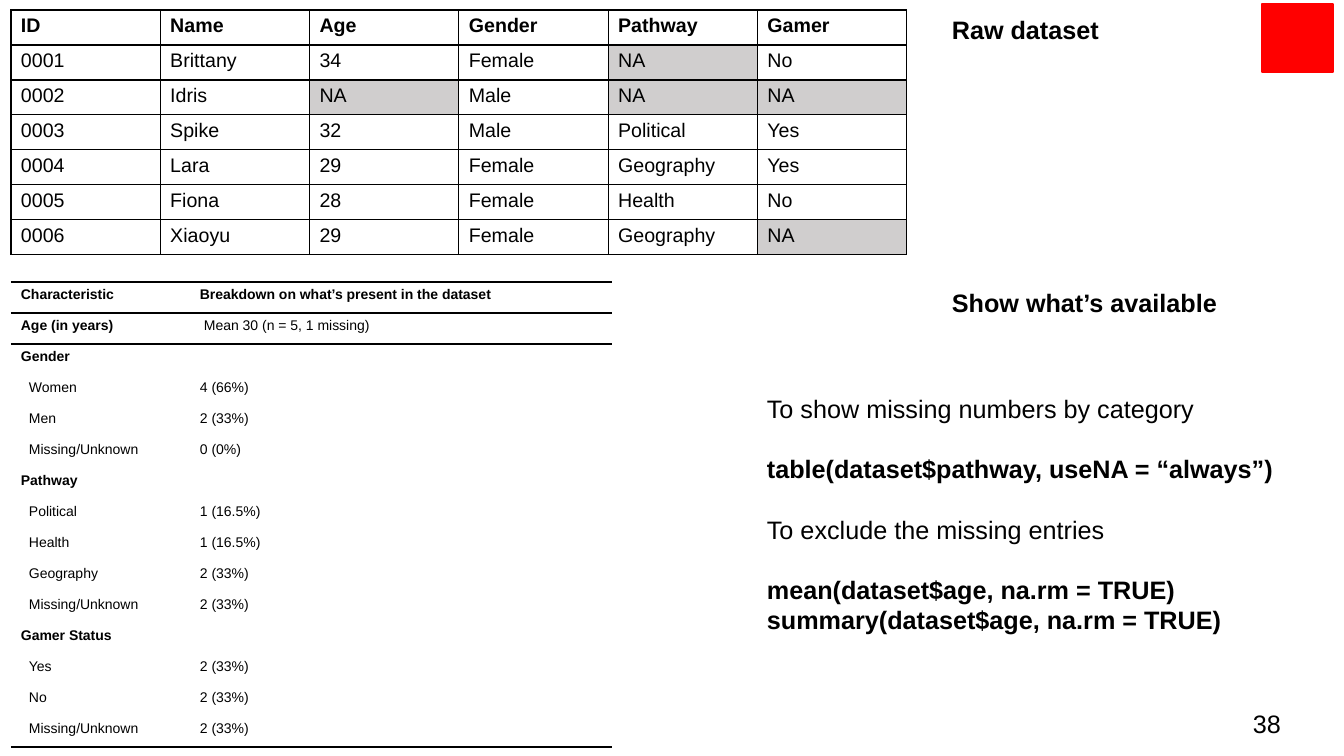
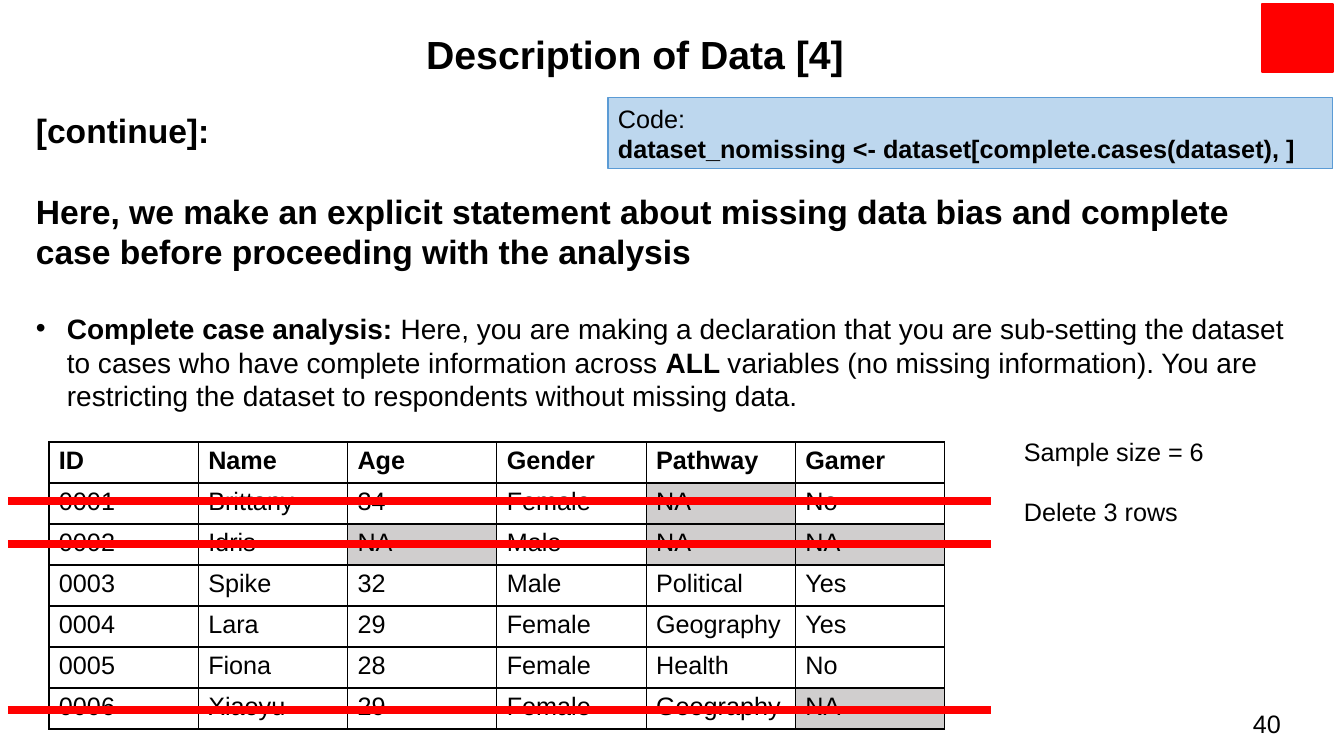
from dataclasses import dataclass

from lxml.etree import SubElement
from pptx import Presentation
from pptx.dml.color import RGBColor
from pptx.enum.shapes import MSO_CONNECTOR, MSO_SHAPE
from pptx.enum.text import MSO_ANCHOR, PP_ALIGN
from pptx.oxml import parse_xml
from pptx.oxml.ns import nsdecls, qn
from pptx.util import Emu, Pt


@dataclass(frozen=True)
class Theme:
    font: str = "Arial"
    ink: str = "000000"
    accent: str = "FF0000"
    missing: str = "D0CECE"
    code_fill: str = "BDD7EE"
    code_line: str = "5B9BD5"
    title: int = 28
    heading: int = 24
    bullet: int = 20
    body: int = 18
    raw_cell: int = 14
    summary_cell: int = 10
    line_gap: float = 21.6
    heading_gap: float = 28.8
    rule: int = 1
    strike: int = 6


THEME = Theme()
EMU_PER_PX = 914400 / 100.8
SLIDE_SIZE = (1344, 756)
MARKER_BOX = (1262, 4, 71, 68)
PAGE_BOX = (1243, 703, 59, 38)

DATASET = [
    ("ID", "Name", "Age", "Gender", "Pathway", "Gamer"),
    ("0001", "Brittany", "34", "Female", "NA", "No"),
    ("0002", "Idris", "NA", "Male", "NA", "NA"),
    ("0003", "Spike", "32", "Male", "Political", "Yes"),
    ("0004", "Lara", "29", "Female", "Geography", "Yes"),
    ("0005", "Fiona", "28", "Female", "Health", "No"),
    ("0006", "Xiaoyu", "29", "Female", "Geography", "NA"),
]
DATASET_COLUMNS = [149.33] * 6

SUMMARY_TOP = [
    ("**Characteristic**", "**Breakdown on what’s present in the dataset**"),
    ("**Age (in years)**", "Mean 30 (n = 5, 1 missing)"),
]
SUMMARY_GROUPS = {
    "Gender": [("Women", "4 (66%)"), ("Men", "2 (33%)"), ("Missing/Unknown", "0 (0%)")],
    "Pathway": [
        ("Political", "1 (16.5%)"),
        ("Health", "1 (16.5%)"),
        ("Geography", "2 (33%)"),
        ("Missing/Unknown", "2 (33%)"),
    ],
    "Gamer Status": [("Yes", "2 (33%)"), ("No", "2 (33%)"), ("Missing/Unknown", "2 (33%)")],
}
SUMMARY_COLUMNS = [179, 422]

SIDE_HEADINGS = [
    ("**Raw dataset**", (942, 9, 212, 40)),
    ("**Show what’s available**", (942, 282, 301, 40)),
]
GAP = {"gap": THEME.line_gap}
MISSING_ADVICE = [
    ("To show missing numbers by category", {}),
    ("**table(dataset$pathway, useNA = “always”)**", GAP),
    ("To exclude the missing entries", GAP),
    ("**mean(dataset$age, na.rm = TRUE)**", GAP),
    ("**summary(dataset$age, na.rm = TRUE)**", {}),
]

TITLE = "**Description of Data [4]**"
STATEMENT = [
    ("**[continue]:**", {}),
    (
        "**Here, we make an explicit statement about missing data bias and complete "
        "case before proceeding with the analysis**",
        {"gap": THEME.heading_gap},
    ),
    (
        "**Complete case analysis:** Here, you are making a declaration that you are "
        "sub-setting the dataset to cases who have complete information across **ALL **"
        "variables (no missing information). You are restricting the dataset to "
        "respondents without missing data.",
        {"gap": THEME.heading_gap, "size": THEME.bullet, "bullet": 31},
    ),
]
CODE = [("Code:", {}), ("**dataset_nomissing <- dataset[complete.cases(dataset), ]**", {})]
SAMPLE = [("Sample size = 6", {}), ("Delete 3 rows", GAP)]
STRIKE_SPAN = (8, 991)
STRIKE_HEIGHTS = (501, 544, 710)


def px(length):
    return Emu(round(length * EMU_PER_PX))


def rgb(value):
    return RGBColor.from_string(value)


def write(frame, content, *, size=THEME.body, align=PP_ALIGN.LEFT, anchor=MSO_ANCHOR.TOP, spacing=None):
    frame.word_wrap = True
    frame.vertical_anchor = anchor
    paragraphs = [(content, {})] if isinstance(content, str) else content
    for index, (text, options) in enumerate(paragraphs):
        paragraph = frame.add_paragraph() if index else frame.paragraphs[0]
        points = options.get("size", size)
        paragraph.alignment = align
        if spacing:
            paragraph.line_spacing = spacing
        if "gap" in options:
            paragraph.space_before = Pt(options["gap"])
        if "bullet" in options:
            properties = paragraph._p.get_or_add_pPr()
            indent = px(options["bullet"])
            properties.set("marL", str(indent))
            properties.set("indent", str(-indent))
            SubElement(properties, qn("a:buFont"), typeface=THEME.font)
            SubElement(properties, qn("a:buChar"), char="•")
        for position, part in enumerate(text.split("**")):
            if part:
                run = paragraph.add_run()
                run.text = part
                run.font.name = THEME.font
                run.font.size = Pt(points)
                run.font.bold = position % 2 == 1
                run.font.color.rgb = rgb(THEME.ink)
        if not text:
            SubElement(paragraph._p, qn("a:endParaRPr"), sz=str(points * 100))


def add_text(slide, box, content, **formatting):
    write(slide.shapes.add_textbox(*map(px, box)).text_frame, content, **formatting)


def add_block(slide, box, fill, line, width):
    block = slide.shapes.add_shape(MSO_SHAPE.RECTANGLE, *map(px, box))
    block.shadow.inherit = False
    block.fill.solid()
    block.fill.fore_color.rgb = rgb(fill)
    block.line.color.rgb = rgb(line)
    block.line.width = Pt(width)
    return block


def set_borders(cell, sides):
    properties = cell._tc.get_or_add_tcPr()
    for index, side in enumerate("LRTB"):
        paint = f'<a:solidFill><a:srgbClr val="{THEME.ink}"/></a:solidFill>' if side in sides else "<a:noFill/>"
        border = f'<a:ln{side} {nsdecls("a")} w="{Pt(THEME.rule)}">{paint}</a:ln{side}>'
        properties.insert(index, parse_xml(border))


def add_grid(slide, corner, columns, row_height, rows, size, borders):
    box = (*corner, sum(columns), row_height * len(rows))
    table = slide.shapes.add_table(len(rows), len(columns), *map(px, box)).table
    table.first_row = False
    table.horz_banding = False
    for column, width in zip(table.columns, columns):
        column.width = px(width)
    for index, (row, values) in enumerate(zip(table.rows, rows)):
        row.height = px(row_height)
        for cell, (text, indent) in zip(row.cells, values):
            cell.margin_left = px(10 + indent)
            write(cell.text_frame, text, size=size)
            if text == "NA":
                cell.fill.solid()
                cell.fill.fore_color.rgb = rgb(THEME.missing)
            else:
                cell.fill.background()
            set_borders(cell, borders(index))


def add_dataset(slide, corner, row_height, size):
    header, *records = DATASET
    rows = [[(f"**{name}**", 0) for name in header]]
    rows += [[(value, 0) for value in record] for record in records]
    add_grid(slide, corner, DATASET_COLUMNS, row_height, rows, size, lambda index: "LRTB")


def add_summary(slide):
    header, age = SUMMARY_TOP
    rows = [[(text, 0) for text in header], [(age[0], 0), (age[1], 4)]]
    for group, levels in SUMMARY_GROUPS.items():
        rows.append([(f"**{group}**", 0), ("", 0)])
        rows += [[(level, 8), (count, 0)] for level, count in levels]
    ruled = {0: "TB", 1: "TB", 2: "T", len(rows) - 1: "B"}
    add_grid(slide, (11, 282), SUMMARY_COLUMNS, 31, rows, THEME.summary_cell,
             lambda index: ruled.get(index, ""))


def add_strike(slide, height):
    start, end = STRIKE_SPAN
    strike = slide.shapes.add_connector(MSO_CONNECTOR.STRAIGHT, px(start), px(height), px(end), px(height))
    strike.line.color.rgb = rgb(THEME.accent)
    strike.line.width = Pt(THEME.strike)
    SubElement(strike._element.spPr, qn("a:effectLst"))


def start_slide(deck, page):
    slide = deck.slides.add_slide(deck.slide_layouts[6])
    add_block(slide, MARKER_BOX, THEME.accent, THEME.accent, THEME.rule)
    add_text(slide, PAGE_BOX, page)
    return slide


def build_available(deck):
    slide = start_slide(deck, "38")
    add_dataset(slide, (11, 10), 35, THEME.raw_cell)
    add_summary(slide)
    for heading, box in SIDE_HEADINGS:
        add_text(slide, box, heading)
    add_text(slide, (757, 388, 545, 254), MISSING_ADVICE)


def build_complete_cases(deck):
    slide = start_slide(deck, "40")
    add_text(slide, (8, 29, 1254, 56), TITLE, size=THEME.title, align=PP_ALIGN.CENTER,
             anchor=MSO_ANCHOR.MIDDLE, spacing=0.9)
    add_text(slide, (26, 105, 1292, 316), STATEMENT, size=THEME.heading)
    add_dataset(slide, (49, 442), 41, THEME.body)
    add_text(slide, (1014, 431, 319, 102), SAMPLE)
    for height in STRIKE_HEIGHTS:
        add_strike(slide, height)
    code = add_block(slide, (608, 98, 725, 71), THEME.code_fill, THEME.code_line, 0.75)
    write(code.text_frame, CODE, anchor=MSO_ANCHOR.MIDDLE)


def main():
    deck = Presentation()
    deck.slide_width, deck.slide_height = map(px, SLIDE_SIZE)
    build_available(deck)
    build_complete_cases(deck)
    deck.save("out.pptx")


if __name__ == "__main__":
    main()
